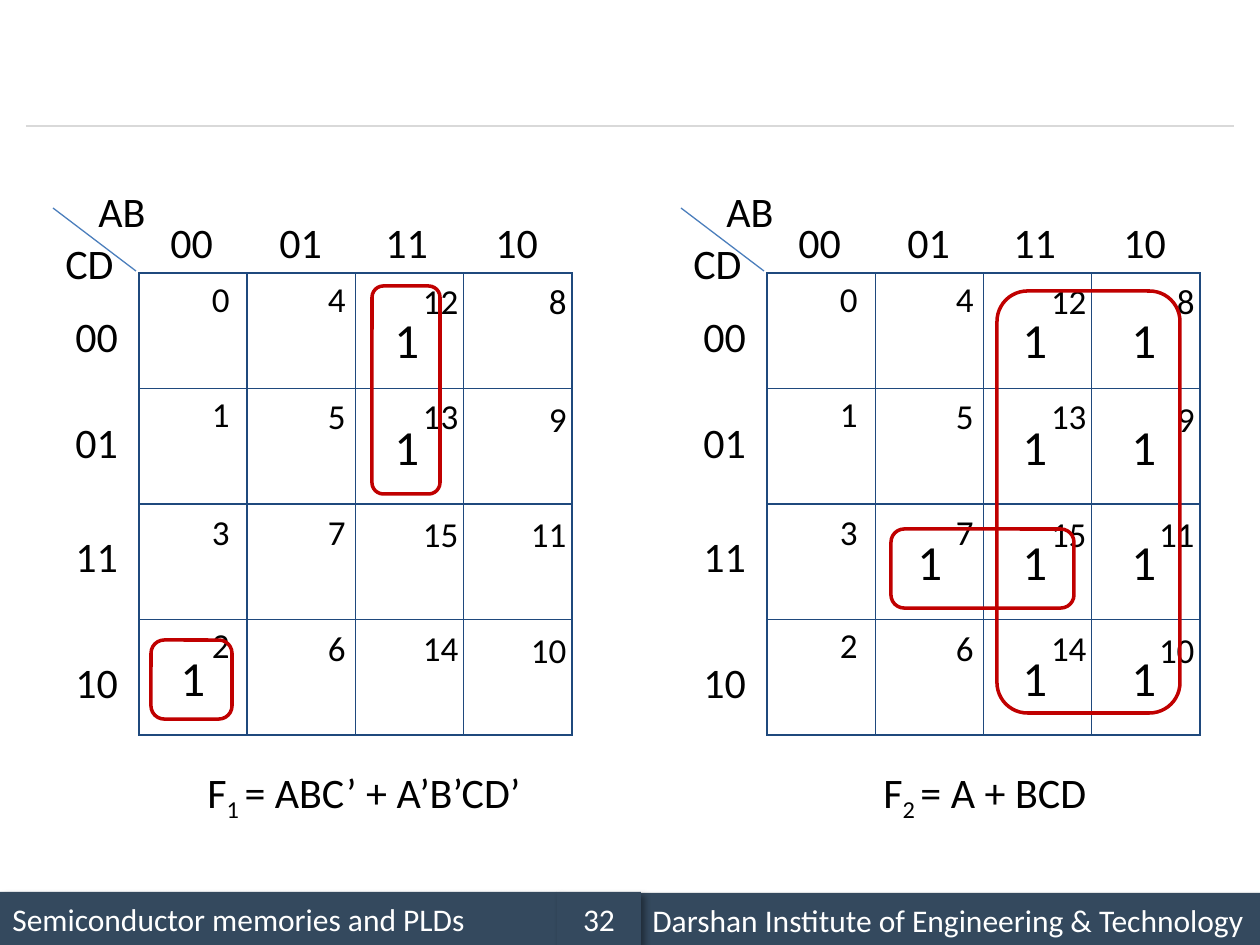
from lxml import etree
from pptx import Presentation
from pptx.dml.color import RGBColor
from pptx.enum.shapes import MSO_CONNECTOR, MSO_SHAPE
from pptx.enum.text import MSO_ANCHOR, MSO_AUTO_SIZE, PP_ALIGN
from pptx.oxml.ns import qn
from pptx.util import Emu, Pt

LEFT, CENTER, RIGHT = PP_ALIGN.LEFT, PP_ALIGN.CENTER, PP_ALIGN.RIGHT
MIDDLE, GROW = MSO_ANCHOR.MIDDLE, MSO_AUTO_SIZE.SHAPE_TO_FIT_TEXT
STRAIGHT = MSO_CONNECTOR.STRAIGHT
RECTANGLE, ROUNDED = MSO_SHAPE.RECTANGLE, MSO_SHAPE.ROUNDED_RECTANGLE

BLACK = RGBColor(0x00, 0x00, 0x00)
WHITE = RGBColor(0xFF, 0xFF, 0xFF)
SLATE = RGBColor(0x34, 0x49, 0x5E)
GREY = RGBColor(0xD9, 0xD9, 0xD9)
NAVY = RGBColor(0x1F, 0x49, 0x7D)
BLUE = RGBColor(0x4B, 0x7E, 0xBC)
RED = RGBColor(0xC0, 0x00, 0x00)

EMU_PER_PX = 914400 / 126
SLIDE_SIZE = (1260, 945)
MAP_SIZE = (433, 462)

GRAY_CODES = ("00", "01", "11", "10")
COLUMN_CODE_LEFTS = (19, 128, 234, 344)
ROW_CODE_TOPS = (31, 137, 251, 377)
MINTERMS = ((0, 1, 3, 2), (4, 5, 7, 6), (12, 13, 15, 14), (8, 9, 11, 10))
MINTERM_RIGHTS = (103, 219, 332, 440)
MINTERM_TOPS = ((-2, 113, 231, 344), (-2, 115, 231, 347),
                (0, 115, 233, 347), (0, 118, 233, 349))
ONE_LEFTS = (29, 138, 243, 352)
ONE_TOPS = (30, 137, 252, 368)

MAPS = (
    {"box": (139, 273, *MAP_SIZE),
     "ones": ((0, 3), (2, 0), (2, 1)),
     "loops": ((233, 13, 68, 208), (12, 367, 81, 79)),
     "equation": ("F", "1 ", "= ABC’ + A’B’CD’"),
     "equation_box": (56, 487, 350, 63)},
    {"box": (767, 273, *MAP_SIZE),
     "ones": ((1, 2), *((column, row) for column in (2, 3) for row in range(4))),
     "loops": ((124, 256, 183, 79), (230, 18, 183, 422)),
     "equation": ("F", "2 ", "= A + BCD"),
     "equation_box": (104, 487, 253, 63)},
)
FOOTER = (
    ((0, 0, 557, 53), "Semiconductor memories and PLDs", LEFT),
    ((640, 1, 620, 53), "Darshan Institute of Engineering & Technology", LEFT),
    ((557, 0, 84, 53), "32", CENTER),
)


def px(*lengths):
    """Turn pixel lengths into EMU."""
    return [Emu(round(length * EMU_PER_PX)) for length in lengths]


def inside(box, part):
    """Shift a part's box by the origin of its region."""
    return part[0] + box[0], part[1] + box[1], *part[2:]


def apply_format(target, values):
    """Set each attribute in values on the target."""
    for name, value in values.items():
        setattr(target, name, value)


def add_runs(paragraph, texts, size, color, align=LEFT):
    """Write runs in one font, the second of them as a subscript."""
    paragraph.alignment = align
    for position, text in enumerate(texts):
        run = paragraph.add_run()
        run.text = text
        apply_format(run.font, {"name": "Calibri", "size": Pt(size)})
        run.font.color.rgb = color
        if position == 1:
            run.font._element.set("baseline", "-25000")


def add_label(slide, box, texts, size, align=LEFT, wrap=False):
    """Add a black text box that grows with its text."""
    frame = slide.shapes.add_textbox(*px(*box)).text_frame
    apply_format(frame, {"word_wrap": wrap, "auto_size": GROW})
    add_runs(frame.paragraphs[0], texts, size, BLACK, align)


def add_line(slide, start, end, color):
    """Add a thin straight line without a shadow."""
    line = slide.shapes.add_connector(STRAIGHT, *px(*start, *end))
    line.line.color.rgb = color
    line.line.width = Pt(0.75)
    etree.SubElement(line._element.spPr, qn("a:effectLst"))


def add_loop(slide, box):
    """Outline a group of adjacent ones."""
    loop = slide.shapes.add_shape(ROUNDED, *px(*box))
    loop.shadow.inherit = False
    loop.fill.background()
    loop.line.color.rgb = RED
    loop.line.width = Pt(2)


def add_grid(slide, box):
    """Add the empty four by four table of a map."""
    table = slide.shapes.add_table(4, 4, *px(*box)).table
    apply_format(table, {"first_row": False, "horz_banding": False})
    for column in table.columns:
        column.width = px(box[2] / 4)[0]
    for row in table.rows:
        row.height = px(box[3] / 4)[0]
    for cell in table.iter_cells():
        properties = cell._tc.get_or_add_tcPr()
        for side in ("lnL", "lnR", "lnT", "lnB"):
            border = etree.SubElement(properties, qn(f"a:{side}"), w=str(Pt(1)))
            fill = etree.SubElement(border, qn("a:solidFill"))
            etree.SubElement(fill, qn("a:srgbClr"), val=str(NAVY))
        cell.fill.background()


def add_map(slide, box, ones, loops, equation, equation_box):
    """Draw a Karnaugh map with its codes, ones, loops and equation."""
    def label(part, text, size, align=LEFT):
        add_label(slide, inside(box, part), [str(text)], size, align)

    add_grid(slide, box)
    add_line(slide, inside(box, (-3, -2)), inside(box, (-86, -65)), BLUE)
    label((-53, -94, 73, 63), "AB", 24)
    label((-86, -42, 74, 63), "CD", 24)
    for code, left, top in zip(GRAY_CODES, COLUMN_CODE_LEFTS, ROW_CODE_TOPS):
        label((left, -63, 68, 63), code, 24)
        label((-76, top, 68, 63), code, 24)
    for numbers, right, tops in zip(MINTERMS, MINTERM_RIGHTS, MINTERM_TOPS):
        for number, top in zip(numbers, tops):
            width = 43 if number < 10 else 62
            label((right - width, top, width, 55), number, 20, RIGHT)
    for column, row in ones:
        label((ONE_LEFTS[column], ONE_TOPS[row], 50, 79), 1, 28)
    for loop in loops:
        add_loop(slide, inside(box, loop))
    add_label(slide, inside(box, equation_box), equation, 24, wrap=True)


def add_footer(slide, box):
    """Draw the shadowed footer bars with their text."""
    for part, text, align in FOOTER:
        bar = slide.shapes.add_shape(RECTANGLE, *px(*inside(box, part)))
        bar.shadow.inherit = False
        effects = bar._element.spPr.find(qn("a:effectLst"))
        shadow = etree.SubElement(effects, qn("a:outerShdw"), blurRad=str(Pt(4)),
                                  dist=str(Pt(3)), dir="2700000", algn="tl")
        color = etree.SubElement(shadow, qn("a:srgbClr"), val=str(BLACK))
        etree.SubElement(color, qn("a:alpha"), val="40000")
        bar.fill.solid()
        bar.fill.fore_color.rgb = SLATE
        bar.line.fill.background()
        apply_format(bar.text_frame, {"word_wrap": True, "vertical_anchor": MIDDLE})
        add_runs(bar.text_frame.paragraphs[0], [text], 18, WHITE, align)


def main():
    """Build and save the slide."""
    presentation = Presentation()
    width, height = px(*SLIDE_SIZE)
    apply_format(presentation, {"slide_width": width, "slide_height": height})
    slide = presentation.slides.add_slide(presentation.slide_layouts[6])
    add_line(slide, (26, 126), (1234, 126), GREY)
    add_footer(slide, (0, 892, 1260, 53))
    for karnaugh_map in MAPS:
        add_map(slide, **karnaugh_map)
    presentation.save("out.pptx")


if __name__ == "__main__":
    main()
